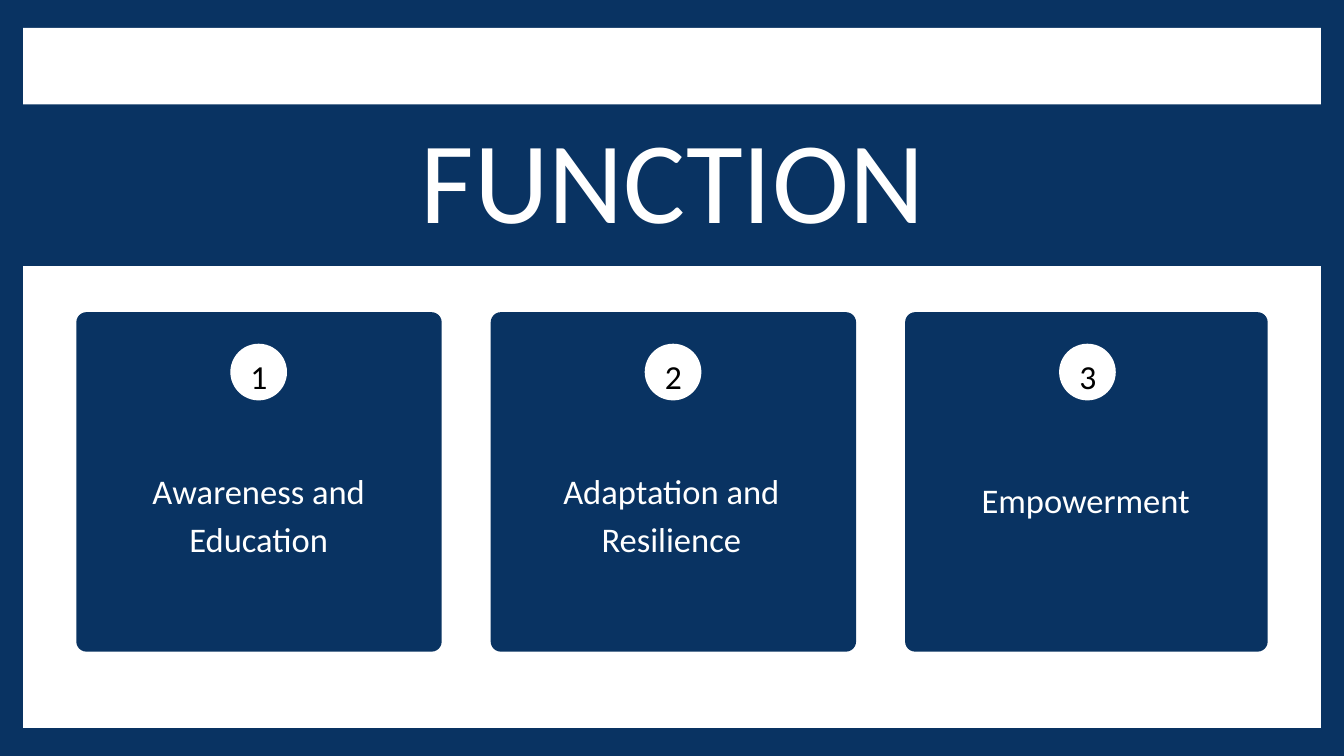
from pptx import Presentation
from pptx.dml.color import RGBColor
from pptx.enum.shapes import MSO_SHAPE
from pptx.enum.text import MSO_ANCHOR, MSO_AUTO_SIZE, PP_ALIGN
from pptx.util import Pt

RECT, ROUNDED, OVAL = MSO_SHAPE.RECTANGLE, MSO_SHAPE.ROUNDED_RECTANGLE, MSO_SHAPE.OVAL
CENTER, TOP, NO_FIT = PP_ALIGN.CENTER, MSO_ANCHOR.TOP, MSO_AUTO_SIZE.NONE
NAVY = RGBColor(0x09, 0x33, 0x62)
WHITE = RGBColor(0xFF, 0xFF, 0xFF)
BLACK = RGBColor(0x00, 0x00, 0x00)
FONT = "Calibri"
EMU_PER_PX = 9525
TITLE_ONLY = 5
CARD_PITCH = 592
CARDS = [
    ("Awareness and Education", 522, (28, 215, 465, 135)),
    ("Adaptation and Resilience", 522, (34, 215, 448, 135)),
    ("Empowerment", 518, (35, 228, 446, 66)),
]


def px(n):
    """Convert px to EMU."""
    return int(n * EMU_PER_PX)


def add_block(slide, kind, x, y, w, h, color):
    """Add a flat filled shape without outline."""
    sp = slide.shapes.add_shape(kind, px(x), px(y), px(w), px(h))
    sp.shadow.inherit = False
    sp.fill.solid()
    sp.fill.fore_color.rgb = color
    sp.line.fill.background()
    return sp


def write(sp, text, size, spacing, color):
    """Set centred text in a shape with no insets."""
    tf = sp.text_frame
    tf.text = text
    tf.word_wrap = True
    tf.auto_size = NO_FIT
    tf.vertical_anchor = TOP
    tf.margin_left = tf.margin_top = tf.margin_right = tf.margin_bottom = 0
    p = tf.paragraphs[0]
    p.alignment = CENTER
    p.line_spacing = Pt(spacing)
    p.space_before = Pt(0)
    font = p.runs[0].font
    font.name, font.size, font.color.rgb = FONT, Pt(size), color


def add_text(slide, x, y, w, h, text, size, spacing, color):
    """Add a text box."""
    sp = slide.shapes.add_textbox(px(x), px(y), px(w), px(h))
    write(sp, text, size, spacing, color)


def add_title_band(slide, x, y, w, h):
    """Draw the title band and place the title over it."""
    add_block(slide, RECT, x, y, w, h, NAVY)
    title = slide.shapes.title
    title.left, title.top = px(x + 347), px(y + 36)
    title.width, title.height = px(1228), px(180)
    write(title, "FUNCTION", 124.6, 125.8, WHITE)
    slide.shapes._spTree.append(title._element)


def add_card(slide, x, y, w, h, number, label, label_box):
    """Draw a numbered card with its label."""
    card = add_block(slide, ROUNDED, x, y, w, h, NAVY)
    card.adjustments[0] = 0.03
    add_block(slide, OVAL, x + 220, y + 45, 81, 81, WHITE)
    add_text(slide, x + 232, y + 45, 58, 69, str(number), 36, 56.5, BLACK)
    dx, dy, label_w, label_h = label_box
    add_text(slide, x + dx, y + dy, label_w, label_h, label, 37, 51.8, WHITE)


def main():
    """Build and save the slide."""
    prs = Presentation()
    prs.slide_width, prs.slide_height = px(1920), px(1080)
    slide = prs.slides.add_slide(prs.slide_layouts[TITLE_ONLY])
    slide.background.fill.solid()
    slide.background.fill.fore_color.rgb = NAVY
    add_block(slide, RECT, 33, 40, 1854, 1000, WHITE)
    add_title_band(slide, 0, 149, 1920, 231)
    for i, (label, w, label_box) in enumerate(CARDS):
        add_card(slide, 109 + i * CARD_PITCH, 446, w, 485, i + 1, label, label_box)
    prs.save("out.pptx")


if __name__ == "__main__":
    main()
